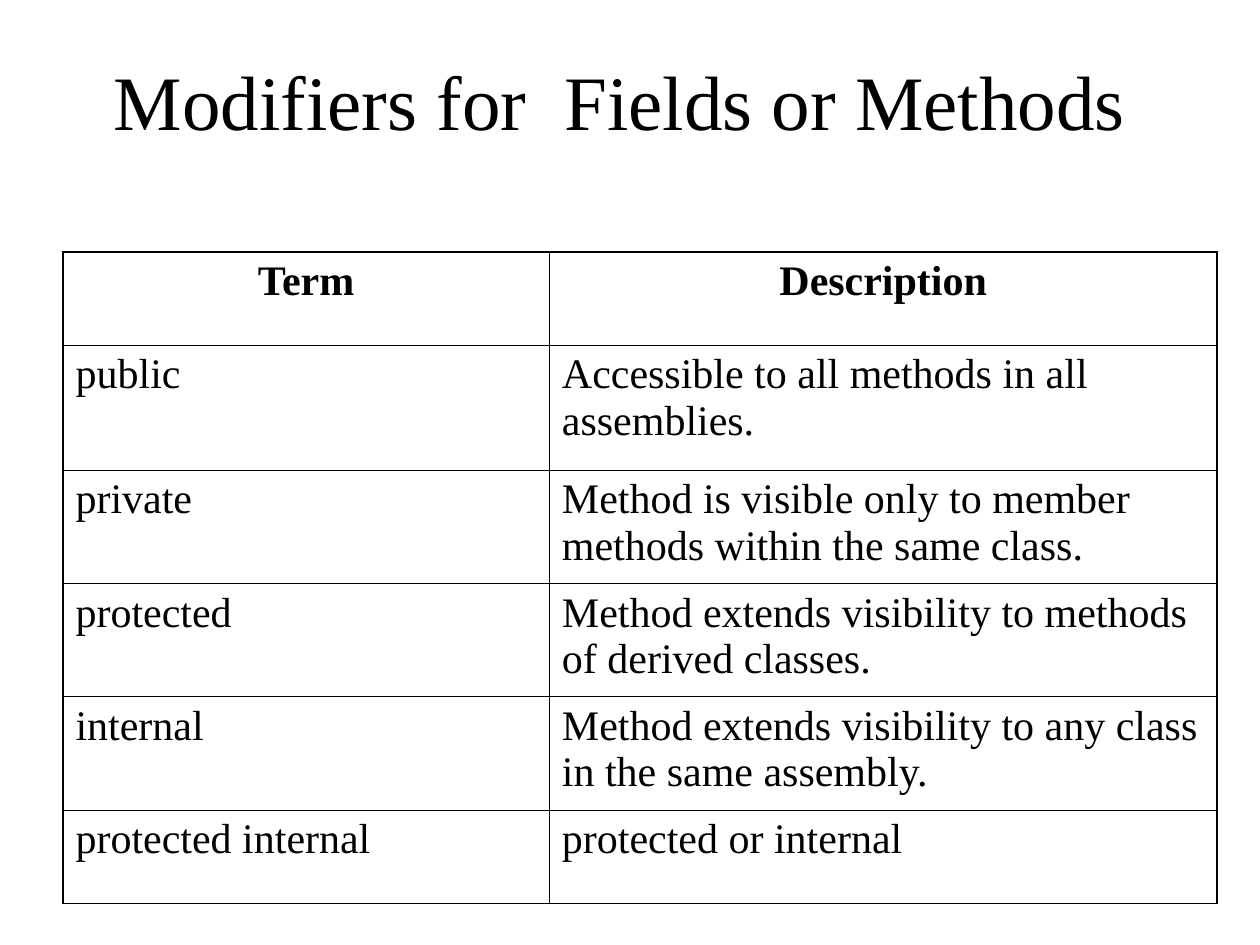
from lxml.etree import SubElement
from pptx import Presentation
from pptx.dml.color import RGBColor
from pptx.enum.text import MSO_ANCHOR as Anchor, PP_ALIGN as Align
from pptx.oxml.ns import qn
from pptx.util import Inches, Pt

BLACK = RGBColor(0x00, 0x00, 0x00)
WHITE = RGBColor(0xFF, 0xFF, 0xFF)
FONT = "Times New Roman"
OUTER, INNER = Pt(1.08), Pt(0.45)
COLUMN_WIDTHS = [3.86, 5.3]
ROW_HEIGHTS = [0.74, 0.99, 0.9, 0.9, 0.9, 0.74]
MODIFIERS = [
    ("Term", "Description"),
    ("public", "Accessible to all methods in all assemblies."),
    ("private", "Method is visible only to member methods within the same class."),
    ("protected", "Method extends visibility to methods of derived classes."),
    ("internal", "Method extends visibility to any class in the same assembly."),
    ("protected internal", "protected or internal"),
]


def write(frame, text, size=24, bold=False, align=Align.LEFT):
    """Put one formatted paragraph into a text frame."""
    frame.word_wrap = True
    paragraph = frame.paragraphs[0]
    paragraph.alignment = align
    run = paragraph.add_run()
    run.text = text
    run.font.name = FONT
    run.font.size = Pt(size)
    run.font.bold = bold
    run.font.color.rgb = BLACK


def add_title(slide, text):
    """Add the centred heading."""
    title = slide.shapes.add_textbox(Inches(0.67), Inches(0), Inches(8.5), Inches(1.58))
    title.text_frame.vertical_anchor = Anchor.MIDDLE
    write(title.text_frame, text, size=44, align=Align.CENTER)


def set_borders(cell, **widths):
    """Draw the cell borders, given in schema order L, R, T, B."""
    properties = cell._tc.get_or_add_tcPr()
    for side, width in widths.items():
        border = SubElement(properties, qn(f"a:ln{side}"), w=str(int(width)))
        fill = SubElement(border, qn("a:solidFill"))
        SubElement(fill, qn("a:srgbClr"), val=str(BLACK))


def add_modifier_table(slide, rows):
    """Add the ruled table with a bold, centred header row."""
    last_row, last_column = len(rows) - 1, len(COLUMN_WIDTHS) - 1
    table = slide.shapes.add_table(
        len(rows), len(COLUMN_WIDTHS), Inches(0.5), Inches(2),
        Inches(sum(COLUMN_WIDTHS)), Inches(sum(ROW_HEIGHTS))).table
    for column, width in zip(table.columns, COLUMN_WIDTHS):
        column.width = Inches(width)
    for r, (row, height) in enumerate(zip(rows, ROW_HEIGHTS)):
        table.rows[r].height = Inches(height)
        header = r == 0
        for c, text in enumerate(row):
            cell = table.cell(r, c)
            write(cell.text_frame, text, bold=header,
                  align=Align.CENTER if header else Align.LEFT)
            set_borders(cell,
                        L=OUTER if c == 0 else INNER,
                        R=OUTER if c == last_column else INNER,
                        T=OUTER if header else INNER,
                        B=OUTER if r == last_row else INNER)
            cell.fill.solid()
            cell.fill.fore_color.rgb = WHITE


def main():
    """Build and save the slide."""
    deck = Presentation()
    deck.slide_width, deck.slide_height = Inches(10), Inches(7.5)
    slide = deck.slides.add_slide(deck.slide_layouts[6])
    add_title(slide, "Modifiers for  Fields or Methods")
    add_modifier_table(slide, MODIFIERS)
    deck.save("out.pptx")


if __name__ == "__main__":
    main()
